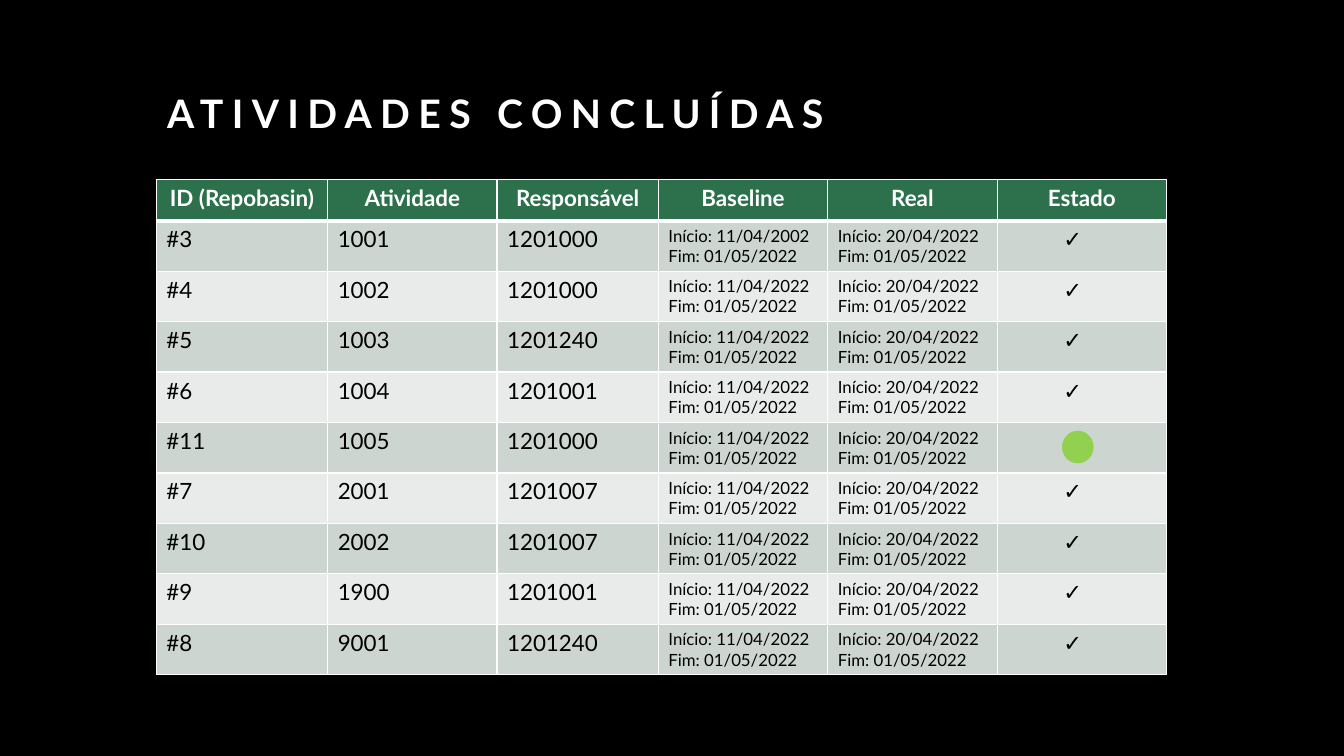
import pptx
import pptx.util
import pptx.dml.color
import pptx.enum.shapes
import pptx.enum.text
from lxml import etree
from pptx.util import Inches

TITLE = "ATIVIDADES CONCLUÍDAS"
HEADERS = ["ID (Repobasin)", "Atividade", "Responsável", "Baseline", "Real", "Estado"]
FIRST_BASELINE = "Início: 11/04/2002\nFim: 01/05/2022"
BASELINE = "Início: 11/04/2022\nFim: 01/05/2022"
REAL = "Início: 20/04/2022\nFim: 01/05/2022"
DONE = "✓"
ACTIVITIES = [  # id, activity, person, baseline, state
    ("#3", "1001", "1201000", FIRST_BASELINE, DONE),
    ("#4", "1002", "1201000", BASELINE, DONE),
    ("#5", "1003", "1201240", BASELINE, DONE),
    ("#6", "1004", "1201001", BASELINE, DONE),
    ("#11", "1005", "1201000", BASELINE, ""),
    ("#7", "2001", "1201007", BASELINE, DONE),
    ("#10", "2002", "1201007", BASELINE, DONE),
    ("#9", "1900", "1201001", BASELINE, DONE),
    ("#8", "9001", "1201240", BASELINE, DONE),
]
COL_WIDTHS = [1.7, 1.68, 1.6, 1.68, 1.68, 1.68]
HEADER_H, ROW_H = 0.41, 0.5
TABLE_X, TABLE_Y = 1.55, 1.78
BANDS = ["CDD5D0", "E8EBE9"]
WHITE, BLACK, GREEN, LIME = "FFFFFF", "000000", "2D714C", "92D050"
LEFT, CENTER = pptx.enum.text.PP_ALIGN.LEFT, pptx.enum.text.PP_ALIGN.CENTER


def rgb(color):
    return pptx.dml.color.RGBColor.from_string(color)


def paint(fill, color):
    fill.solid()
    fill.fore_color.rgb = rgb(color)


def write(tf, text, size=16, color=BLACK, bold=False, align=LEFT, spacing=None, line=None):
    """Write one paragraph per line of text; spacing is between letters, in points."""
    for i, words in enumerate(text.split("\n")):
        p = tf.add_paragraph() if i else tf.paragraphs[0]
        p.alignment = align
        if line:
            p.line_spacing = line
        r = p.add_run()
        r.text = words
        r.font.name, r.font.size, r.font.bold = "Lato", pptx.util.Pt(size), bold
        r.font.color.rgb = rgb(color)
        if spacing:
            r.font._element.set("spc", str(spacing * 100))


def set_borders(cell, top=1, bottom=1):
    """Draw white cell edges, widths in points; call before filling the cell."""
    ns = "http://schemas.openxmlformats.org/drawingml/2006/main"
    tcPr = cell._tc.get_or_add_tcPr()
    for side, width in (("L", 1), ("R", 1), ("T", top), ("B", bottom)):
        ln = etree.SubElement(tcPr, f"{{{ns}}}ln{side}", w=str(pptx.util.Pt(width)))
        fill = etree.SubElement(ln, f"{{{ns}}}solidFill")
        etree.SubElement(fill, f"{{{ns}}}srgbClr", val=WHITE)


def add_title(s):
    tf = s.shapes.add_textbox(Inches(1.56), Inches(0.46), Inches(10.1), Inches(0.94)).text_frame
    tf.word_wrap = True
    tf.vertical_anchor = pptx.enum.text.MSO_ANCHOR.BOTTOM
    write(tf, TITLE, size=28, color=WHITE, bold=True, spacing=6, line=1.2)


def add_activities(s):
    height = HEADER_H + ROW_H * len(ACTIVITIES)
    table = s.shapes.add_table(len(ACTIVITIES) + 1, len(HEADERS), Inches(TABLE_X), Inches(TABLE_Y),
                               Inches(sum(COL_WIDTHS)), Inches(height)).table
    table.horz_banding = False
    for column, width in zip(table.columns, COL_WIDTHS):
        column.width = Inches(width)
    for i, row in enumerate(table.rows):
        row.height = Inches(ROW_H if i else HEADER_H)

    for j, header in enumerate(HEADERS):
        cell = table.cell(0, j)
        set_borders(cell, bottom=3)
        paint(cell.fill, GREEN)
        write(cell.text_frame, header, color=WHITE, bold=True, align=CENTER)

    for i, (number, activity, person, baseline, state) in enumerate(ACTIVITIES, 1):
        for j, text in enumerate((number, activity, person, baseline, REAL, state)):
            cell = table.cell(i, j)
            set_borders(cell, top=3 if i == 1 else 1)
            paint(cell.fill, BANDS[(i - 1) % 2])
            if HEADERS[j] == "Estado":
                cell.margin_right = Inches(0.28)
            if text:
                write(cell.text_frame, text, size=12 if "\n" in text else 16,
                      align=CENTER if text == DONE else LEFT)


def add_state_dot(s):
    sp = s.shapes.add_shape(pptx.enum.shapes.MSO_SHAPE.OVAL,
                            Inches(10.54), Inches(4.28), Inches(0.3), Inches(0.31))
    sp.shadow.inherit = False
    paint(sp.fill, LIME)
    paint(sp.line.fill, LIME)
    sp.line.width = pptx.util.Pt(1)


def main():
    prs = pptx.Presentation()
    prs.slide_width, prs.slide_height = Inches(13.33), Inches(7.5)
    s = prs.slides.add_slide(prs.slide_layouts[6])
    paint(s.background.fill, BLACK)
    add_title(s)
    add_activities(s)
    add_state_dot(s)
    prs.save("out.pptx")


if __name__ == "__main__":
    main()
